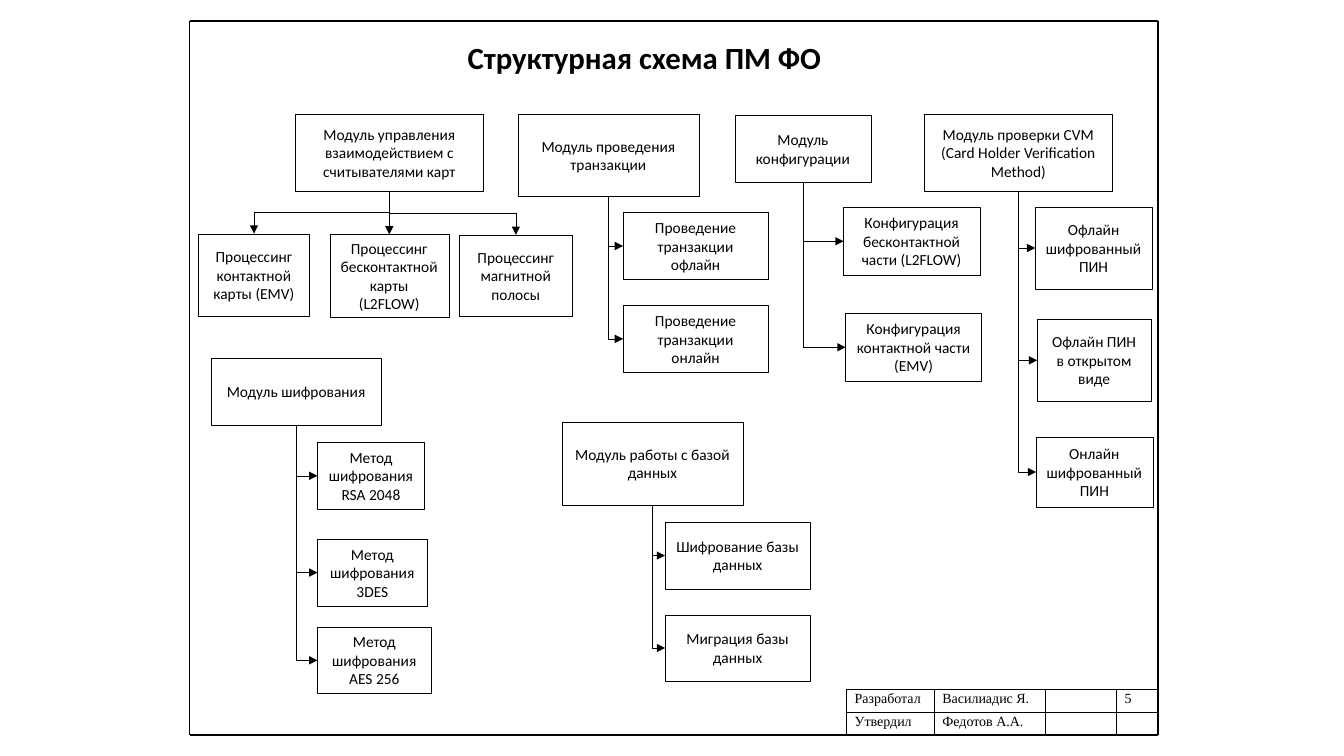
from lxml.etree import SubElement
from pptx import Presentation
from pptx.dml.color import RGBColor
from pptx.enum.shapes import MSO_CONNECTOR, MSO_SHAPE
from pptx.enum.text import MSO_ANCHOR, PP_ALIGN
from pptx.oxml.ns import qn
from pptx.util import Cm, Pt

COLORS = {"ink": "000000", "paper": "FFFFFF"}
INK = RGBColor.from_string(COLORS["ink"])
PAPER = RGBColor.from_string(COLORS["paper"])
TOP, LEFT, BOTTOM = 0, 1, 2  # connection sites of a process box

prs = Presentation()
prs.slide_width, prs.slide_height = Cm(33.87), Cm(19.05)
slide = prs.slides.add_slide(prs.slide_layouts[6])
shapes = slide.shapes


def add_box(text, bounds, preset=MSO_SHAPE.FLOWCHART_PROCESS, size=11, bold=False,
            edge=INK, edge_width=0.25):
    """Add a white outlined box with centred text; bounds are in cm."""
    box = shapes.add_shape(preset, *[Cm(value) for value in bounds])
    box.shadow.inherit = False
    box.fill.solid()
    box.fill.fore_color.rgb = PAPER
    box.line.color.rgb = edge
    box.line.width = Pt(edge_width)
    frame = box.text_frame
    frame.text = text
    frame.word_wrap = True
    frame.vertical_anchor = MSO_ANCHOR.MIDDLE
    for paragraph in frame.paragraphs:
        paragraph.alignment = PP_ALIGN.CENTER
        for run in paragraph.runs:
            run.font.name, run.font.size, run.font.bold = "Calibri", Pt(size), bold
            run.font.color.rgb = INK
    return box


def add_line(kind, ends, width):
    """Add a black connector without a shadow between two points in EMU."""
    line = shapes.add_connector(kind, *ends)
    line.line.color.rgb = INK
    line.line.width = Pt(width)
    SubElement(line._element.spPr, qn("a:effectLst"))
    return line


add_box("Структурная схема ПМ ФО", (10.31, 0.84, 11.86, 1.19), MSO_SHAPE.RECTANGLE,
        size=22, bold=True, edge=PAPER, edge_width=1)

# Each module: text, bounds, side where arrows enter its parts, parts
modules = [
    ("Модуль управления взаимодействием с считывателями карт",
     (7.44, 2.87, 4.75, 1.96), TOP, [
         ("Процессинг контактной карты (EMV)", (5, 5.89, 2.8, 2.08)),
         ("Процессинг бесконтактной карты\n(L2FLOW)", (8.31, 5.91, 3, 2.08)),
         ("Процессинг магнитной полосы", (11.58, 5.92, 2.84, 2.06))]),
    ("Модуль проведения транзакции", (13.06, 2.87, 4.55, 2.08), LEFT, [
        ("Проведение транзакции офлайн", (15.7, 5.36, 3.66, 1.68)),
        ("Проведение транзакции онлайн", (15.7, 7.7, 3.66, 1.68))]),
    ("Модуль конфигурации", (18.52, 2.9, 3.43, 1.7), LEFT, [
        ("Конфигурация бесконтактной части (L2FLOW)", (21.26, 5.23, 3.43, 1.7)),
        ("Конфигурация контактной части (EMV)", (21.31, 7.9, 3.43, 1.7))]),
    ("Модуль проверки CVM (Card Holder Verification Method)",
     (23.29, 2.87, 4.75, 1.96), LEFT, [
         ("Офлайн шифрованный ПИН", (26.09, 5.21, 2.94, 2.08)),
         ("Офлайн ПИН в открытом виде", (26.14, 8.05, 2.87, 2.06)),
         ("Онлайн шифрованный ПИН", (26.11, 11.02, 2.94, 1.75))]),
    ("Модуль шифрования", (5.33, 9.02, 4.27, 1.7), LEFT, [
        ("Метод шифрования\nRSA 2048", (8, 11.15, 2.7, 1.68)),
        ("Метод шифрования\n3DES", (8, 13.59, 2.77, 1.68)),
        ("Метод шифрования\nAES 256", (8, 15.8, 2.87, 1.68))]),
    ("Модуль работы с базой данных", (14.17, 10.64, 4.55, 2.08), LEFT, [
        ("Шифрование базы данных", (16.76, 13.16, 3.66, 1.68)),
        ("Миграция базы данных", (16.76, 15.49, 3.66, 1.68))]),
]

for module_text, module_bounds, entry, parts in modules:
    module = add_box(module_text, module_bounds)
    for part_text, part_bounds in parts:
        part = add_box(part_text, part_bounds)
        arrow = add_line(MSO_CONNECTOR.ELBOW, (0, 0, 0, 0), 0.25)
        arrow.begin_connect(module, BOTTOM)
        arrow.end_connect(part, entry)
        start_x, start_y = module.left + module.width // 2, module.top + module.height
        if entry == TOP:
            end_x, end_y = part.left + part.width // 2, part.top
        else:
            end_x, end_y = part.left, part.top + part.height // 2
            arrow._element.spPr.find(qn("a:prstGeom")).set("prst", "bentConnector2")

        # The path leaves downwards: a quarter turn swaps its width and height
        run_x, run_y = abs(end_x - start_x), end_y - start_y
        arrow.width, arrow.height = run_y, run_x
        arrow.left = (start_x + end_x - run_y) // 2
        arrow.top = (start_y + end_y - run_x) // 2
        rightwards = end_x > start_x
        turn = arrow._element.spPr.find(qn("a:xfrm"))
        turn.set("rot", str((270 if rightwards else 90) * 60000))
        turn.set("flipH", "1" if rightwards else "0")
        turn.set("flipV", "0")
        SubElement(arrow.line._get_or_add_ln(), qn("a:tailEnd"), type="triangle")

# Title block
signatures = [("Разработал", "Василиадис Я.", "", "5"),
              ("Утвердил", "Федотов А.А.", "", "")]
column_widths = (2.21, 2.79, 1.8, 1.04)
title_block = shapes.add_table(2, 4, Cm(21.34), Cm(17.37), Cm(7.84), Cm(1.15)).table
title_block.first_row = title_block.horz_banding = False
for column, width in zip(title_block.columns, column_widths):
    column.width = Cm(width)
for row, entries in zip(title_block.rows, signatures):
    row.height = Cm(0.57)
    for cell, text in zip(row.cells, entries):
        cell.margin_left = cell.margin_right = Cm(0.2)
        cell.margin_top, cell.margin_bottom = Cm(0.05), Cm(0.1)
        cell.text_frame.text = text
        paragraph = cell.text_frame.paragraphs[0]
        for run in paragraph.runs:
            run.font.name, run.font.size = "Times New Roman", Pt(10)
            run.font.color.rgb = INK
        SubElement(paragraph._p, qn("a:endParaRPr"), sz="1000")
        properties = cell._tc.get_or_add_tcPr()
        for side in ("lnL", "lnR", "lnT", "lnB"):
            border = SubElement(properties, qn("a:" + side), w=str(Pt(1)))
            ink_fill = SubElement(border, qn("a:solidFill"))
            SubElement(ink_fill, qn("a:srgbClr"), val=COLORS["ink"])
        cell.fill.background()

# Sheet frame
frame_left, frame_top, frame_right, frame_bottom = Cm(4.78), Cm(0.53), Cm(29.18), Cm(18.52)
corners = [(frame_left, frame_top), (frame_right, frame_top),
           (frame_right, frame_bottom), (frame_left, frame_bottom)]
for corner, following in zip(corners, corners[1:] + corners[:1]):
    add_line(MSO_CONNECTOR.STRAIGHT, corner + following, 1)

prs.save("out.pptx")
